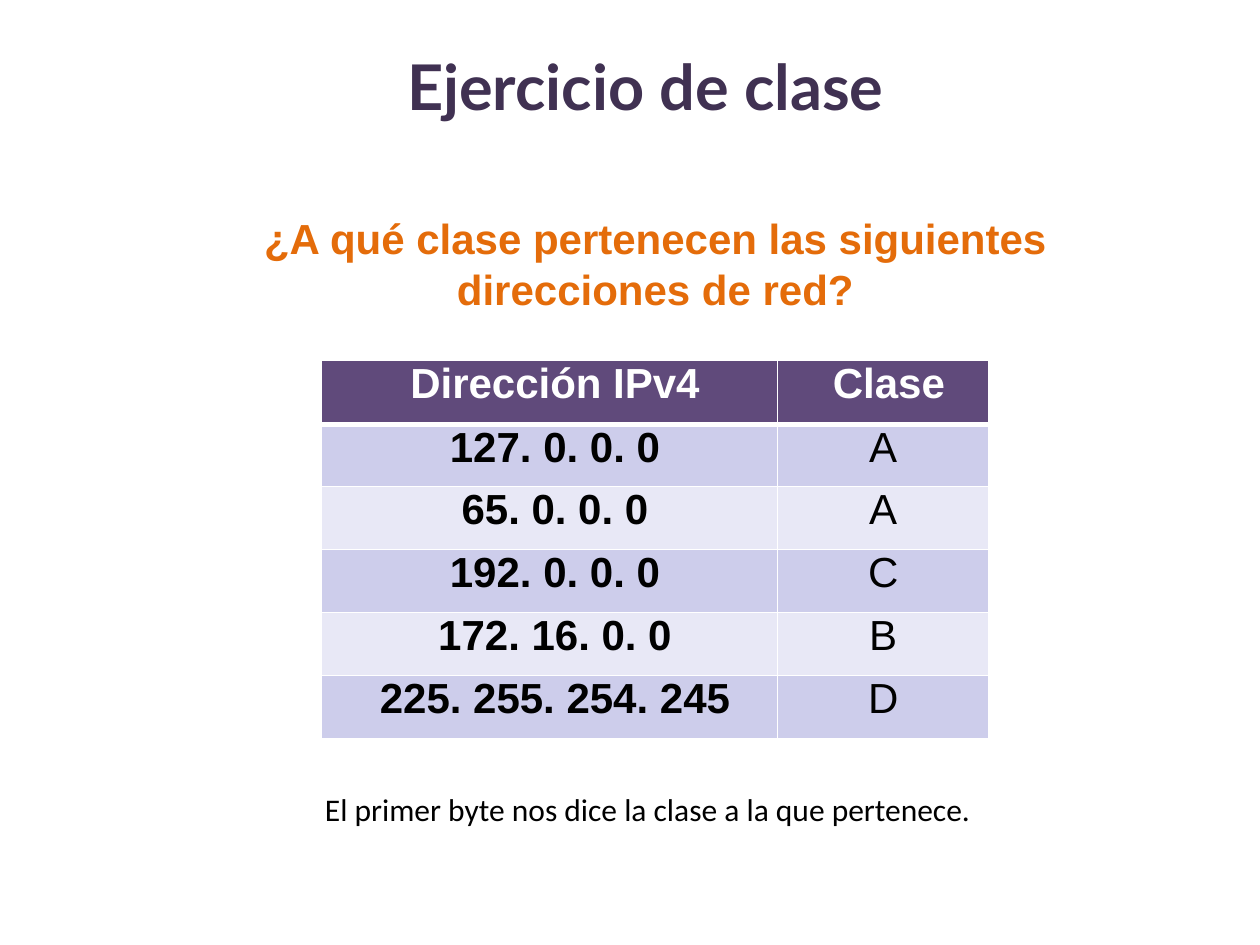
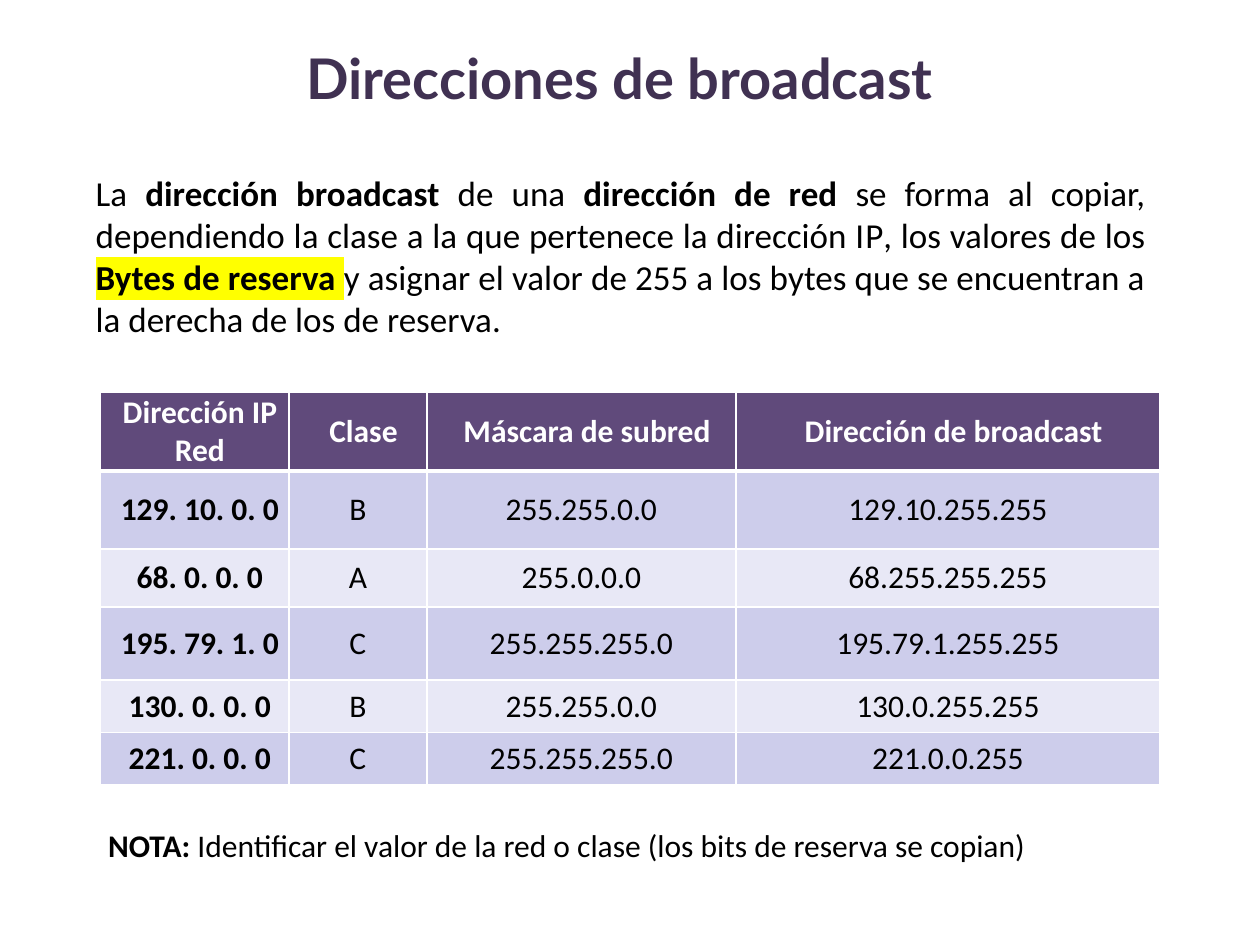
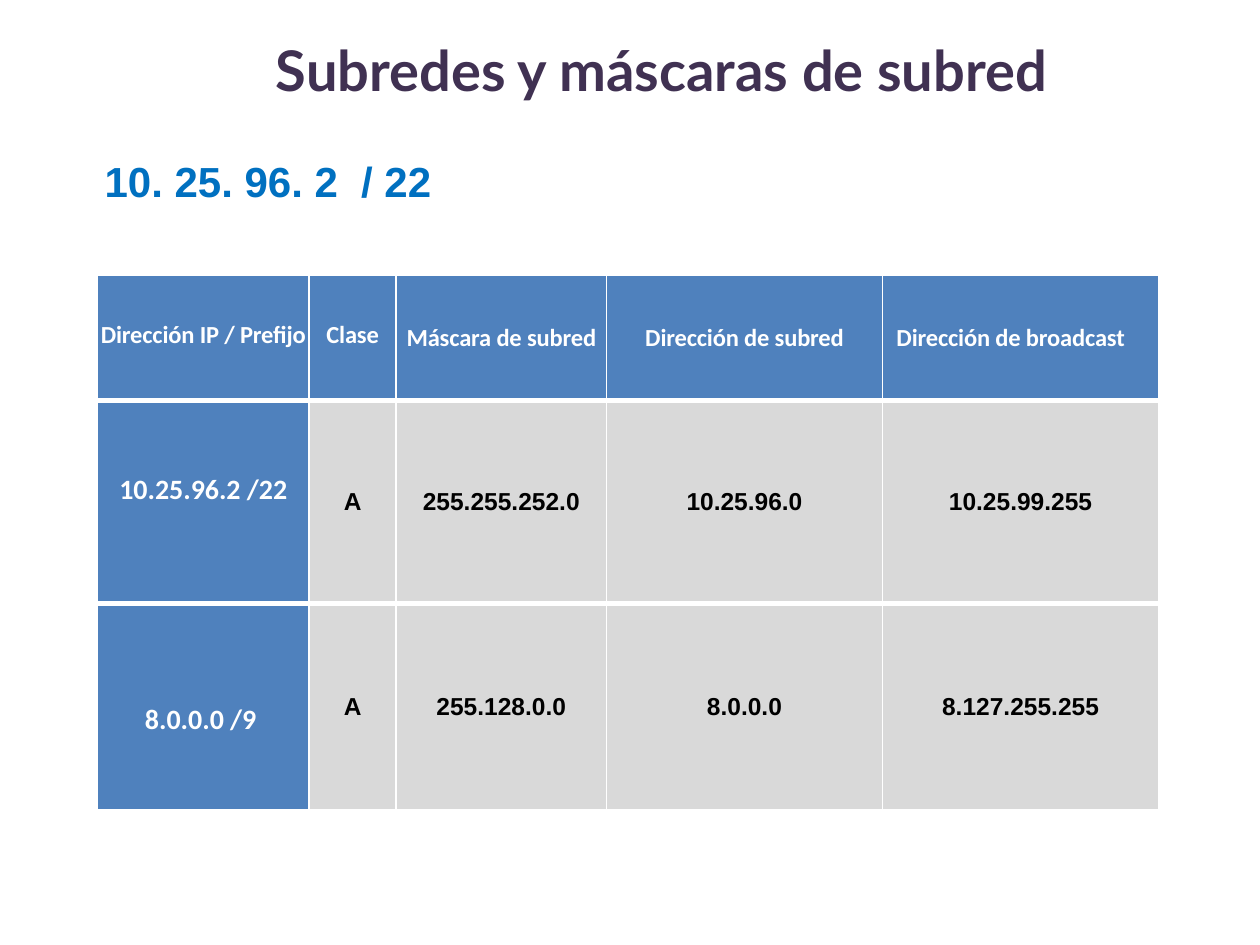
"""Build three slides on IPv4 classes, broadcast addresses and subnet masks."""
from lxml import etree
from pptx import Presentation, util as u
from pptx.dml.color import RGBColor
from pptx.enum import text as t
from pptx.oxml.ns import qn

COLORS = {
    "title": "403152", "question": "E46C0A", "address": "0070C0", "ink": "000000",
    "white": "FFFFFF", "purple": "604A7B", "lilac": "CDCDEB", "pale": "E8E8F6",
    "blue": "4F81BD", "gray": "D9D9D9", "marker": "FFFF00",
}
ALIGN = t.PP_ALIGN
TOP, MIDDLE = t.MSO_ANCHOR.TOP, t.MSO_ANCHOR.MIDDLE
NO_MARGINS = (0, 0, 0, 0)
NOTE_MARGINS = (7.2, 3.6, 7.2, 3.6)
HEADING_MARGINS = (0, 15, 0, 0)

TITLE = {"name": "Lato", "size": 32, "bold": True, "color": "title"}
BODY = {"name": "Calibri", "size": 20, "bold": False, "color": "ink"}
NOTE = BODY | {"size": 18}
QUESTION = {"name": "Arial", "size": 24, "bold": True, "color": "question"}
ADDRESS = QUESTION | {"color": "address"}
BOLD = {"bold": True}
RESERVED = {"bold": True, "highlight": "marker"}

SLIDES = [
    {
        "texts": [
            {"box": (16, 3.6, 705.6, 90), "runs": [("Ejercicio de clase", {})],
             "format": TITLE | {"size": 36}, "align": ALIGN.CENTER,
             "margins": NOTE_MARGINS, "anchor": MIDDLE},
            {"box": (145, 121.7, 459, 58.3), "format": QUESTION, "align": ALIGN.CENTER,
             "runs": [("¿A qué clase pertenecen las siguientes direcciones de red?", {})]},
            {"box": (178.6, 447.8, 465, 28.8), "format": NOTE, "margins": NOTE_MARGINS,
             "runs": [("El primer byte nos dice la clase a la que pertenece.", {})]},
        ],
        "table": {
            "origin": (183.6, 206), "columns": (260.6, 121),
            "rows": (36.5, 35.5, 36, 36, 36, 36),
            "cells": [
                ("Dirección IPv4", "Clase"),
                ("127. 0. 0. 0", "A"),
                ("65. 0. 0. 0", "A"),
                ("192. 0. 0. 0", "C"),
                ("172. 16. 0. 0", "B"),
                ("225. 255. 254. 245", "D"),
            ],
            "header": QUESTION | {"color": "white"},
            "key": QUESTION | {"color": "ink"},
            "value": QUESTION | {"color": "ink", "bold": False},
            "head_fill": "purple", "bands": ("lilac", "pale"),
            "anchor": TOP, "indent": 6.5, "heavy_rows": (0,),
        },
    },
    {
        "texts": [
            {"box": (54, 9.4, 600.5, 54), "runs": [("Direcciones de broadcast", {})],
             "format": TITLE, "align": ALIGN.CENTER,
             "margins": HEADING_MARGINS, "anchor": MIDDLE},
            {"box": (54.7, 98, 599.8, 97), "format": BODY, "align": ALIGN.JUSTIFY,
             "runs": [
                 ("La ", {}), ("dirección broadcast ", BOLD), ("de una ", {}),
                 ("dirección de red ", BOLD),
                 ("se forma al copiar, dependiendo la clase a la que pertenece "
                  "la dirección I", {}),
                 ("P", {"spacing": -2.8}), (", los valores de los ", {}),
                 ("Bytes de reserva ", RESERVED),
                 ("y asignar el valor de 255 a los bytes que se encuentran "
                  "a la derecha de los de reserva.", {})]},
            {"box": (54.7, 468.7, 599.8, 28.8), "format": NOTE, "align": ALIGN.JUSTIFY,
             "margins": NOTE_MARGINS,
             "runs": [("NOTA: ", BOLD),
                      ("Identificar el valor de la red o clase "
                       "(los bits de reserva se copian)", {})]},
        ],
        "table": {
            "origin": (57, 224.3), "columns": (108, 79, 176.5, 242.5),
            "rows": (44.8, 44.6, 33.1, 41.7, 30.2, 30),
            "cells": [
                ("Dirección IP Red", "Clase", "Máscara de subred", "Dirección de broadcast"),
                ("129. 10. 0. 0", "B", "255.255.0.0", "129.10.255.255"),
                ("68. 0. 0. 0", "A", "255.0.0.0", "68.255.255.255"),
                ("195. 79. 1. 0", "C", "255.255.255.0", "195.79.1.255.255"),
                ("130. 0. 0. 0", "B", "255.255.0.0", "130.0.255.255"),
                ("221. 0. 0. 0", "C", "255.255.255.0", "221.0.0.255"),
            ],
            "header": NOTE | {"color": "white", "bold": True},
            "key": NOTE | BOLD, "value": NOTE,
            "head_fill": "purple", "bands": ("lilac", "pale"),
            "anchor": MIDDLE, "indent": 6.5, "heavy_rows": (0,),
        },
    },
    {
        "texts": [
            {"box": (94.3, 5, 568, 54), "runs": [("Subredes y máscaras de subred", {})],
             "format": TITLE, "align": ALIGN.CENTER,
             "margins": HEADING_MARGINS, "anchor": MIDDLE},
            {"box": (59.8, 88.6, 602.6, 28.8), "format": ADDRESS,
             "runs": [("10. 25. 96. 2", {}), (" ", {"spacing": 6.5}), ("/ 22", {})]},
        ],
        "table": {
            "origin": (55.7, 157), "columns": (121, 49.7, 120.2, 157.8, 157.8),
            "rows": (72, 116, 118),
            "cells": [
                ("Dirección IP / Prefijo", "Clase", "Máscara de subred",
                 "Dirección de subred", "Dirección de broadcast"),
                ("10.25.96.2 /22", "A", "255.255.252.0", "10.25.96.0", "10.25.99.255"),
                ("8.0.0.0 /9", "A", "255.128.0.0", "8.0.0.0", "8.127.255.255"),
            ],
            "header": NOTE | {"size": 14, "color": "white", "bold": True, "spacing": -0.1},
            "key": NOTE | {"size": 16, "color": "white", "bold": True},
            "value": ADDRESS | {"size": 14, "color": "ink"},
            "head_fill": "blue", "key_fill": "blue", "bands": ("gray",),
            "anchor": MIDDLE, "indent": 0, "heavy_rows": (0, 1),
            "margins": {(0, 0): {"bottom": 3}, (0, 1): {"bottom": 3},
                        (0, 4): {"right": 11.5}, (1, 0): {"bottom": 14.6},
                        (2, 0): {"top": 15, "right": 3}},
        },
    },
]


def rgb(color):
    return RGBColor.from_string(COLORS[color])


def add_run(paragraph, words, style):
    run = paragraph.add_run()
    run.text = words
    values = {"name": style["name"], "size": u.Pt(style["size"]), "bold": style["bold"]}
    for attribute, value in values.items():
        setattr(run.font, attribute, value)
    run.font.color.rgb = rgb(style["color"])
    properties = run._r.get_or_add_rPr()
    if "spacing" in style:
        properties.set("spc", str(round(style["spacing"] * 100)))
    if "highlight" in style:
        highlight = etree.Element(qn("a:highlight"))
        etree.SubElement(highlight, qn("a:srgbClr"), val=COLORS[style["highlight"]])
        properties.find(qn("a:solidFill")).addnext(highlight)


def add_text(slide, box, runs, format, align=ALIGN.LEFT, margins=NO_MARGINS, anchor=TOP):
    frame = slide.shapes.add_textbox(*map(u.Pt, box)).text_frame
    left, top, right, bottom = map(u.Pt, margins)
    values = {"word_wrap": True, "vertical_anchor": anchor, "margin_left": left,
              "margin_top": top, "margin_right": right, "margin_bottom": bottom}
    for attribute, value in values.items():
        setattr(frame, attribute, value)
    paragraph = frame.paragraphs[0]
    paragraph.alignment = align
    for words, changes in runs:
        add_run(paragraph, words, format | changes)


def set_borders(cell, top, bottom):
    properties = cell._tc.get_or_add_tcPr()
    widths = {"lnL": 1, "lnR": 1, "lnT": top, "lnB": bottom}
    for position, (side, width) in enumerate(widths.items()):
        line = etree.Element(qn("a:" + side), w=str(u.Pt(width)))
        fill = etree.SubElement(line, qn("a:solidFill"))
        etree.SubElement(fill, qn("a:srgbClr"), val=COLORS["white"])
        properties.insert(position, line)


def add_address_table(slide, content):
    columns, rows = content["columns"], content["rows"]
    size = sum(columns), sum(rows)
    table = slide.shapes.add_table(len(rows), len(columns),
                                   *map(u.Pt, content["origin"] + size)).table
    table.first_row = table.horz_banding = False
    for column, width in zip(table.columns, columns):
        column.width = u.Pt(width)
    for row, height in zip(table.rows, rows):
        row.height = u.Pt(height)
    for r, entries in enumerate(content["cells"]):
        band = content["bands"][(r - 1) % len(content["bands"])]
        for c, words in enumerate(entries):
            cell = table.cell(r, c)
            if r == 0:
                part, fill = "header", content["head_fill"]
            elif c == 0:
                part, fill = "key", content.get("key_fill", band)
            else:
                part, fill = "value", band
            margins = dict.fromkeys(("left", "top", "right", "bottom"), 0)
            margins["left"] = 0 if part == "value" else content["indent"]
            margins |= content.get("margins", {}).get((r, c), {})
            for side, margin in margins.items():
                setattr(cell, "margin_" + side, u.Pt(margin))
            cell.vertical_anchor = content["anchor"]
            cell.fill.solid()
            cell.fill.fore_color.rgb = rgb(fill)
            set_borders(cell, *(3 if edge in content["heavy_rows"] else 1
                                for edge in (r - 1, r)))
            paragraph = cell.text_frame.paragraphs[0]
            paragraph.alignment = ALIGN.CENTER
            add_run(paragraph, words, content[part])


def main():
    deck = Presentation()
    deck.slide_width, deck.slide_height = u.Pt(720), u.Pt(540)
    for content in SLIDES:
        slide = deck.slides.add_slide(deck.slide_layouts[6])
        for item in content["texts"]:
            add_text(slide, **item)
        add_address_table(slide, content["table"])
    deck.save("out.pptx")


if __name__ == "__main__":
    main()
